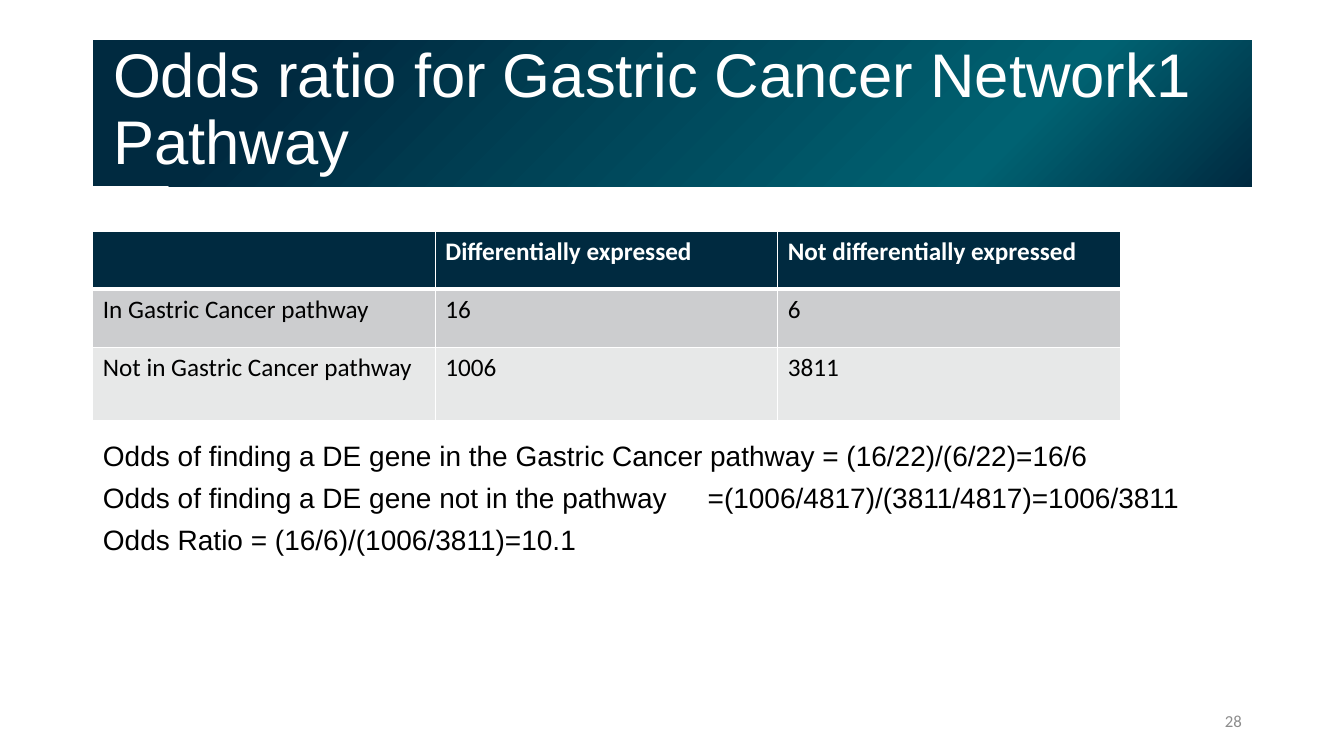
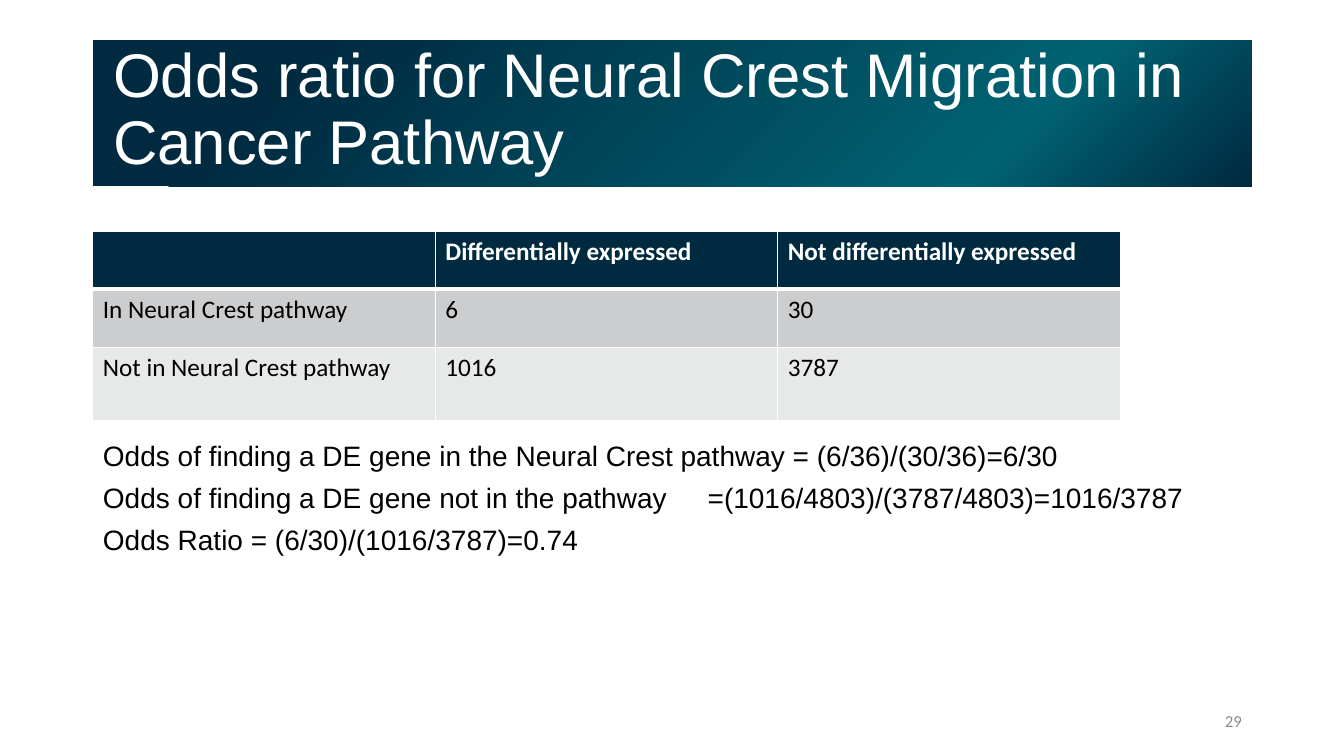
from dataclasses import dataclass

from lxml.etree import SubElement
from pptx import Presentation
from pptx.dml.color import RGBColor
from pptx.enum.text import MSO_ANCHOR, MSO_AUTO_SIZE, PP_ALIGN
from pptx.oxml import parse_xml
from pptx.oxml.ns import nsdecls, qn
from pptx.util import Cm, Pt


@dataclass(frozen=True)
class Theme:
    navy: str = "002A40"
    teal: str = "006272"
    white: str = "FFFFFF"
    black: str = "000000"
    grey: str = "8C8C8C"
    bands: tuple = ("CCCDCF", "E7E8E8")
    heading_font: str = "Arial"
    table_font: str = "Calibri"
    title_size: int = 44
    body_size: int = 20
    table_size: int = 18
    number_size: int = 12


@dataclass(frozen=True)
class Pathway:
    title: str
    name: str
    inside: tuple   # (DE, not DE) genes in the pathway
    outside: tuple  # (DE, not DE) genes not in the pathway
    ratio: str
    number: int


THEME = Theme()
LEFT, WIDTH = Cm(2.34), Cm(29.21)
COLUMN = Cm(8.63)
ROWS = (Cm(1.45), Cm(1.47), Cm(1.83))
PATHWAYS = (
    Pathway("Odds ratio for Gastric Cancer Network1 Pathway", "Gastric Cancer",
            (16, 6), (1006, 3811), "10.1", 28),
    Pathway("Odds ratio for Neural Crest Migration in Cancer Pathway", "Neural Crest",
            (6, 30), (1016, 3787), "0.74", 29),
)


def style(p, font, size, color, bold=False):
    for r in p.runs:
        r.font.name, r.font.size, r.font.bold = font, Pt(size), bold
        r.font.color.rgb = RGBColor.from_string(color)


def place(sp, left, top, width, height):
    sp.left, sp.top, sp.width, sp.height = left, top, width, height


def fill_gradient(sp):
    """Radial gradient centred on the bottom right corner."""
    stops = ((0, THEME.navy), (22, THEME.teal), (83, THEME.navy), (100, THEME.navy))
    gs = "".join(f'<a:gs pos="{pos * 1000}"><a:srgbClr val="{color}"/></a:gs>'
                 for pos, color in stops)
    sp.fill.background()
    old = sp._element.spPr.find(qn("a:noFill"))
    old.getparent().replace(old, parse_xml(
        f'<a:gradFill {nsdecls("a")} rotWithShape="1"><a:gsLst>{gs}</a:gsLst>'
        '<a:path path="circle"><a:fillToRect l="100000" t="100000"/></a:path></a:gradFill>'))


def add_title(s, text):
    sp = s.shapes.title
    place(sp, LEFT, Cm(1.02), WIDTH, Cm(3.68))
    fill_gradient(sp)
    tf = sp.text_frame
    tf.text = text
    tf.auto_size = MSO_AUTO_SIZE.NONE
    tf.vertical_anchor = MSO_ANCHOR.MIDDLE
    tf.margin_left, tf.margin_top = Cm(0.51), 0
    tf.margin_right, tf.margin_bottom = Cm(0.25), Cm(0.13)
    p = tf.paragraphs[0]
    p.alignment, p.line_spacing = PP_ALIGN.LEFT, 0.9
    style(p, THEME.heading_font, THEME.title_size, THEME.white)


def set_borders(cell, top, bottom):
    tcPr = cell._tc.get_or_add_tcPr()
    for side, width in (("L", 1), ("R", 1), ("T", top), ("B", bottom)):
        ln = SubElement(tcPr, qn(f"a:ln{side}"), w=str(Pt(width)))
        SubElement(SubElement(ln, qn("a:solidFill")), qn("a:srgbClr"), val=THEME.white)


def add_counts(s, pathway):
    rows = (("", "Differentially expressed", "Not differentially expressed"),
            (f"In {pathway.name} pathway", *pathway.inside),
            (f"Not in {pathway.name} pathway", *pathway.outside))
    fills = (THEME.navy, *THEME.bands)
    table = s.shapes.add_table(3, 3, LEFT, Cm(5.84), 3 * COLUMN, sum(ROWS)).table
    for column in table.columns:
        column.width = COLUMN
    for i, values in enumerate(rows):
        table.rows[i].height = ROWS[i]
        header = i == 0
        for j, value in enumerate(values):
            cell = table.cell(i, j)
            set_borders(cell, 3 if i == 1 else 1, 3 if header else 1)
            cell.fill.solid()
            cell.fill.fore_color.rgb = RGBColor.from_string(fills[i])
            cell.text = str(value)
            style(cell.text_frame.paragraphs[0], THEME.table_font, THEME.table_size,
                  THEME.white if header else THEME.black, header)


def odds(de, other):
    total = de + other
    return f"({de}/{total})/({other}/{total})={de}/{other}"


def add_odds(s, pathway):
    (a, b), (c, d) = pathway.inside, pathway.outside
    lines = (f"Odds of finding a DE gene in the {pathway.name} pathway = {odds(a, b)}",
             f"Odds of finding a DE gene not in the pathway\t={odds(c, d)}",
             f"Odds Ratio = ({a}/{b})/({c}/{d})={pathway.ratio}")
    sp = s.placeholders[1]
    place(sp, LEFT, Cm(10.92), WIDTH, Cm(3.6))
    tf = sp.text_frame
    tf.text = "\n".join(lines)
    tf.auto_size = MSO_AUTO_SIZE.NONE
    for p in tf.paragraphs:
        pPr = p._p.get_or_add_pPr()
        pPr.set("marL", "0")
        pPr.set("indent", "0")
        SubElement(pPr, qn("a:buNone"))
        tabs = SubElement(pPr, qn("a:tabLst"))
        SubElement(tabs, qn("a:tab"), pos=str(Cm(14.8)), algn="l")
        p.space_before, p.space_after = 0, Pt(6)
        style(p, THEME.heading_font, THEME.body_size, THEME.black)


def add_number(s, number):
    tf = s.shapes.add_textbox(Cm(23.93), Cm(17.65), Cm(7.62), Cm(1.02)).text_frame
    tf.word_wrap = True
    tf.vertical_anchor = MSO_ANCHOR.MIDDLE
    p = tf.paragraphs[0]
    p.text = str(number)
    p.alignment = PP_ALIGN.RIGHT
    style(p, THEME.table_font, THEME.number_size, THEME.grey)


def main():
    prs = Presentation()
    prs.slide_width, prs.slide_height = Cm(33.87), Cm(19.05)
    for pathway in PATHWAYS:
        s = prs.slides.add_slide(prs.slide_layouts[1])
        add_title(s, pathway.title)
        add_number(s, pathway.number)
        add_counts(s, pathway)
        add_odds(s, pathway)
    prs.save("out.pptx")


if __name__ == "__main__":
    main()
